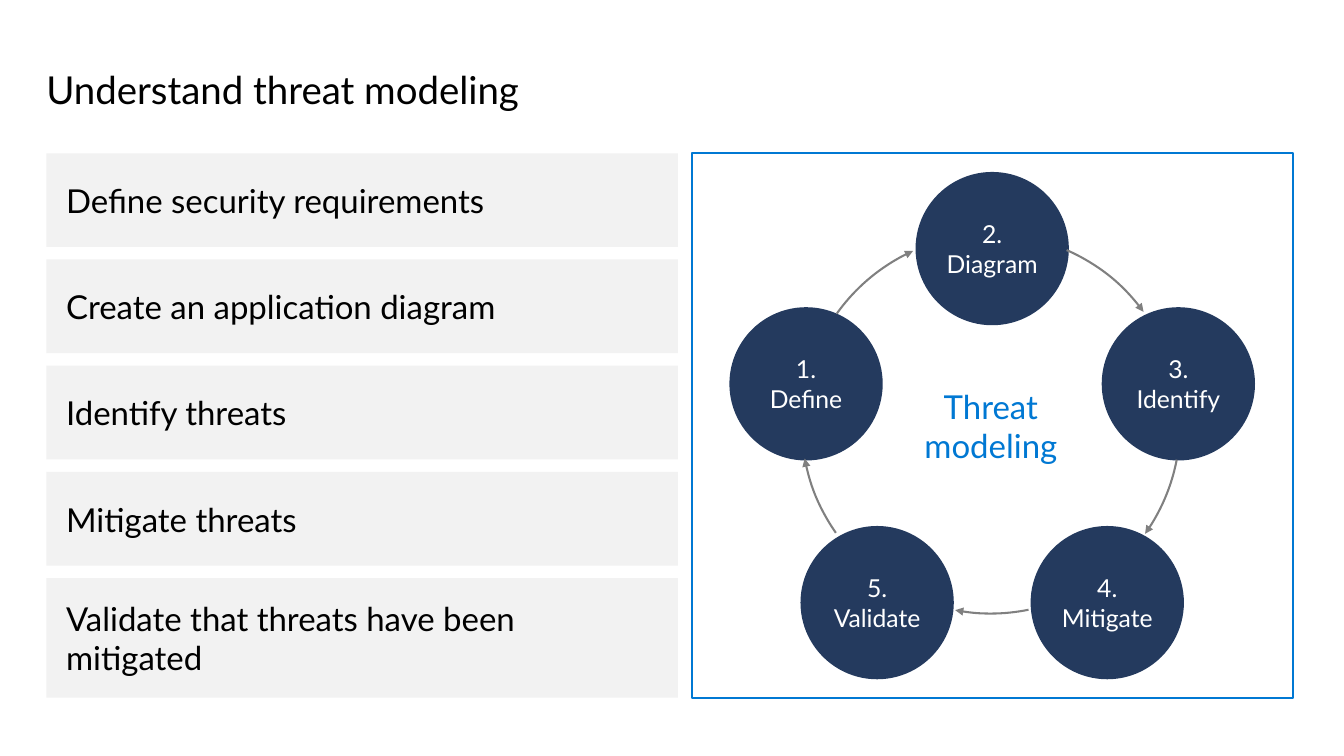
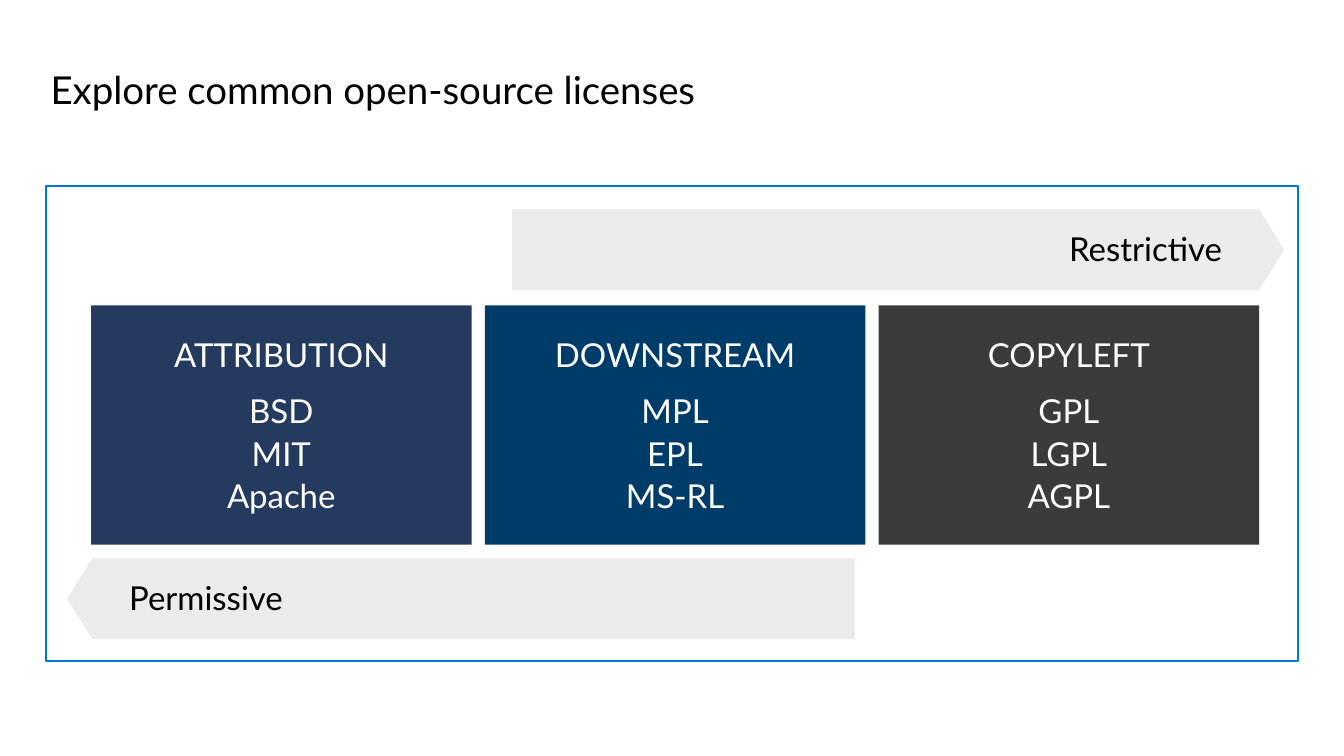
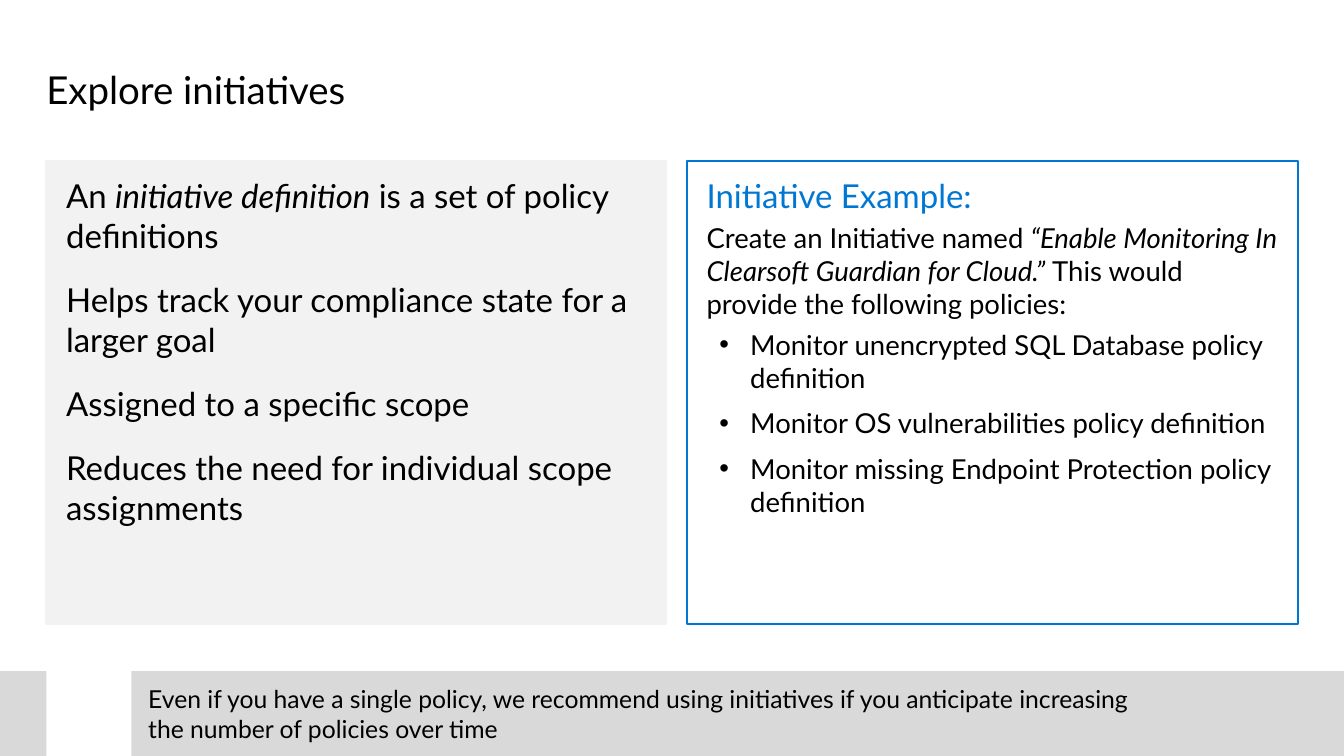
from dataclasses import dataclass
from math import cos, radians, sin
from typing import NamedTuple, Optional

from lxml.etree import SubElement
from pptx import Presentation
from pptx.dml.color import RGBColor
from pptx.enum.shapes import MSO_SHAPE as Preset
from pptx.enum.text import MSO_ANCHOR as Anchor, PP_ALIGN as Align
from pptx.oxml.ns import qn
from pptx.util import Cm, Pt

BLACK = RGBColor(0x00, 0x00, 0x00)
WHITE = RGBColor(0xFF, 0xFF, 0xFF)
BLUE = RGBColor(0x00, 0x78, 0xD3)
NAVY = RGBColor(0x24, 0x3A, 0x5E)
DEEP_BLUE = RGBColor(0x00, 0x3C, 0x6A)
CHARCOAL = RGBColor(0x3B, 0x3B, 0x3B)
GRAY = RGBColor(0x80, 0x80, 0x80)
BAND_GRAY = RGBColor(0xD9, 0xD9, 0xD9)
ARROW_GRAY = RGBColor(0xEB, 0xEB, 0xEB)
PANEL_GRAY = RGBColor(0xF2, 0xF2, 0xF2)

FONT = "Lato"
TITLE_ONLY = 5
PAGE_WIDTH, PAGE_HEIGHT = 34.54, 19.43
MARGIN = 1.19


class Area(NamedTuple):
    """Left, top, width and height in centimetres."""
    left: float
    top: float
    width: float
    height: float

    def lengths(self) -> list:
        return [Cm(value) for value in self]


class Insets(NamedTuple):
    """Text margins in centimetres."""
    left: float
    top: float
    right: float
    bottom: float


NO_INSETS = Insets(0, 0, 0, 0)
CARD_INSETS = Insets(0.25, 0.13, 0.25, 0.13)
PANEL_INSETS = Insets(0.51, 0.38, 0.51, 0.38)


@dataclass(frozen=True)
class Span:
    text: str
    size: float = 24
    color: RGBColor = BLACK
    italic: bool = False


@dataclass(frozen=True)
class Para:
    spans: list[Span]
    align: Align = Align.LEFT
    before: float = 0
    after: float = 0
    bullet: bool = False


@dataclass(frozen=True)
class Step:
    """A circle of the cycle and the angles of the arrow that leaves it."""
    label: str
    angle: float
    arrow_start: float
    arrow_end: float


@dataclass(frozen=True)
class LicenseCard:
    heading: str
    licenses: list[str]
    fill: RGBColor


STEPS = [
    Step("1.\nDefine", -72, 215.6, 245.8),
    Step("2.\nDiagram", 0, 293.57, 323.72),
    Step("3.\nIdentify", 72, 10.91, 35.48),
    Step("4.\nMitigate", 144, 78.54, 100.83),
    Step("5.\nValidate", 216, 144.87, 169.45),
]

REQUIREMENTS = [
    "Define security requirements",
    "Create an application diagram",
    "Identify threats",
    "Mitigate threats",
    "Validate that threats have been mitigated",
]

CARDS = [
    LicenseCard("ATTRIBUTION", ["BSD", "MIT", "Apache"], NAVY),
    LicenseCard("DOWNSTREAM", ["MPL", "EPL", "MS-RL"], DEEP_BLUE),
    LicenseCard("COPYLEFT", ["GPL", "LGPL", "AGPL"], CHARCOAL),
]


def add_bullet(para) -> None:
    properties = para._p.get_or_add_pPr()
    properties.set("marL", str(Cm(1.12)))
    properties.set("indent", str(Cm(-0.79)))
    SubElement(properties, qn("a:buFont")).set("typeface", "Arial")
    SubElement(properties, qn("a:buChar")).set("char", "•")


def add_span(para, span: Span) -> None:
    for number, line in enumerate(span.text.split("\n")):
        if number:
            para.add_line_break()
        run = para.add_run()
        run.text = line
        run.font.name = FONT
        run.font.size = Pt(span.size)
        run.font.color.rgb = span.color
        run.font.italic = span.italic


def write(box, paras: list[Para], insets: Insets = NO_INSETS,
          anchor: Anchor = Anchor.MIDDLE, wrap: bool = True) -> None:
    frame = box.text_frame
    frame.word_wrap = wrap
    frame.vertical_anchor = anchor
    (frame.margin_left, frame.margin_top,
     frame.margin_right, frame.margin_bottom) = [Cm(inset) for inset in insets]
    for number, item in enumerate(paras):
        para = frame.add_paragraph() if number else frame.paragraphs[0]
        para.alignment = item.align
        para.space_before = Pt(item.before)
        para.space_after = Pt(item.after)
        for span in item.spans:
            add_span(para, span)
        if item.bullet:
            add_bullet(para)


def paint(shape, fill: Optional[RGBColor], line: Optional[RGBColor]) -> None:
    shape.shadow.inherit = False
    if fill is None:
        shape.fill.background()
    else:
        shape.fill.solid()
        shape.fill.fore_color.rgb = fill
    if line is None:
        shape.line.fill.background()
    else:
        shape.line.color.rgb = line
        shape.line.width = Pt(1.5)


def add_preset(page, preset: Preset, area: Area, fill: Optional[RGBColor] = None,
               line: Optional[RGBColor] = None):
    shape = page.shapes.add_shape(preset, *area.lengths())
    paint(shape, fill, line)
    return shape


def add_page(deck, title: str, left: float = MARGIN):
    page = deck.slides.add_slide(deck.slide_layouts[TITLE_ONLY])
    box = page.shapes.title
    area = Area(left, 1.75, 33.32 - left, 1.14)
    box.left, box.top, box.width, box.height = area.lengths()
    write(box, [Para([Span(title, 28)])], anchor=Anchor.TOP)
    box.text_frame.paragraphs[0].line_spacing = Pt(32)
    return page


def add_cycle_arrow(page, step: Step) -> None:
    arrow = add_preset(page, Preset.ARC, Area(20.6, 6.02, 9.73, 9.75), line=GRAY)
    # Adjustments count 60000ths of a degree in units of 100000.
    arrow.adjustments[0] = step.arrow_start * 0.6
    arrow.adjustments[1] = step.arrow_end * 0.6
    outline = arrow._element.spPr.find(qn("a:ln"))
    SubElement(outline, qn("a:tailEnd")).set("type", "triangle")


def add_cycle(page) -> None:
    center_x, center_y, radius, diameter = 25.5, 11.42, 5.03, 3.94
    label = page.shapes.add_textbox(*Area(23.6, 9.91, 3.73, 2.06).lengths())
    write(label, [Para([Span(word, color=BLUE)], Align.CENTER)
                  for word in ("Threat", "modeling")], wrap=False)
    for step in STEPS:
        angle = radians(step.angle)
        area = Area(center_x + radius * sin(angle) - diameter / 2,
                    center_y - radius * cos(angle) - diameter / 2,
                    diameter, diameter)
        circle = add_preset(page, Preset.OVAL, area, NAVY)
        write(circle, [Para([Span(step.label, 18, WHITE)], Align.CENTER)])
        add_cycle_arrow(page, step)


def add_threat_page(deck) -> None:
    page = add_page(deck, "Understand threat modeling")
    top, pitch = 3.94, 2.73
    for number, requirement in enumerate(REQUIREMENTS):
        is_last = number == len(REQUIREMENTS) - 1
        area = Area(MARGIN, top + number * pitch, 16.23, 3.07 if is_last else 2.41)
        row = add_preset(page, Preset.RECTANGLE, area, PANEL_GRAY)
        write(row, [Para([Span(requirement)])], PANEL_INSETS)
    add_preset(page, Preset.RECTANGLE, Area(17.78, top, 15.44, 14), line=BLUE)
    add_cycle(page)


def add_direction(page, label: str, area: Area, insets: Insets, align: Align):
    arrow = add_preset(page, Preset.PENTAGON, area, ARROW_GRAY)
    arrow.adjustments[0] = 0.31
    write(arrow, [Para([Span(label)], align)], insets)
    return arrow


def add_license_page(deck) -> None:
    page = add_page(deck, "Explore common open-source licenses", 1.3)
    add_preset(page, Preset.RECTANGLE, Area(MARGIN, 4.78, 32.18, 12.22), line=BLUE)
    add_direction(page, "Restrictive", Area(13.16, 5.38, 19.84, 2.08),
                  Insets(0.18, 0.1, 1.27, 0.18), Align.RIGHT)
    for number, card in enumerate(CARDS):
        area = Area(2.34 + number * 10.12, 7.85, 9.78, 6.15)
        box = add_preset(page, Preset.RECTANGLE, area, card.fill)
        heading = Para([Span(card.heading, color=WHITE)], Align.CENTER, after=12)
        names = [Para([Span(name, color=WHITE)], Align.CENTER, after=2)
                 for name in card.licenses]
        write(box, [heading, *names], CARD_INSETS)
    permissive = add_direction(page, "Permissive", Area(1.73, 14.35, 20.24, 2.08),
                               Insets(1.27, 0.1, 0.1, 0.18), Align.LEFT)
    permissive._element.spPr.find(qn("a:xfrm")).set("flipH", "1")


def add_note_band(page, text: str) -> None:
    """Draw a full-width footer band with a gap near its left end."""
    top = 17.25
    pieces = [(3.38, PAGE_WIDTH), (0, MARGIN)]
    builder = None
    for left, right in pieces:
        start = Cm(left), Cm(top)
        if builder is None:
            builder = page.shapes.build_freeform(*start)
        else:
            builder.move_to(*start)
        corners = [(right, top), (right, PAGE_HEIGHT), (left, PAGE_HEIGHT)]
        builder.add_line_segments([(Cm(x), Cm(y)) for x, y in corners], close=True)
    band = builder.convert_to_shape()
    paint(band, BAND_GRAY, None)
    write(band, [Para([Span(text, 18)])], Insets(3.81, 0.41, 0.51, 0.41))


def add_initiative_page(deck) -> None:
    page = add_page(deck, "Explore initiatives")
    top, height = 4.14, 11.91
    facts = [
        [Span("An "), Span("initiative definition", italic=True),
         Span(" is a set of policy definitions")],
        [Span("Helps track your compliance state for a larger goal")],
        [Span("Assigned to a specific scope")],
        [Span("Reduces the need for individual scope assignments")],
    ]
    panel = add_preset(page, Preset.RECTANGLE, Area(MARGIN, top, 15.93, height),
                       PANEL_GRAY, PANEL_GRAY)
    write(panel, [Para(spans, before=18) for spans in facts],
          PANEL_INSETS, Anchor.TOP)

    policies = [
        "Monitor unencrypted SQL Database policy definition",
        "Monitor OS vulnerabilities policy definition",
        "Monitor missing Endpoint Protection policy definition",
    ]
    example = add_preset(page, Preset.RECTANGLE, Area(17.65, top, 15.7, height),
                         line=BLUE)
    write(example, [
        Para([Span("Initiative Example:", color=BLUE)], after=4),
        Para([Span("Create an Initiative named ", 20),
              Span("“Enable Monitoring In Clearsoft Guardian for Cloud.” ", 20,
                   italic=True),
              Span("This would provide the following policies:", 20)]),
        *[Para([Span(policy, 20)], before=6, after=3, bullet=True)
          for policy in policies],
    ], PANEL_INSETS, Anchor.TOP)
    add_note_band(page, "Even if you have a single policy, we recommend using "
                        "initiatives if you anticipate increasing\n"
                        "the number of policies over time")


def main() -> None:
    deck = Presentation()
    deck.slide_width, deck.slide_height = Cm(PAGE_WIDTH), Cm(PAGE_HEIGHT)
    add_threat_page(deck)
    add_license_page(deck)
    add_initiative_page(deck)
    deck.save("out.pptx")


if __name__ == "__main__":
    main()
